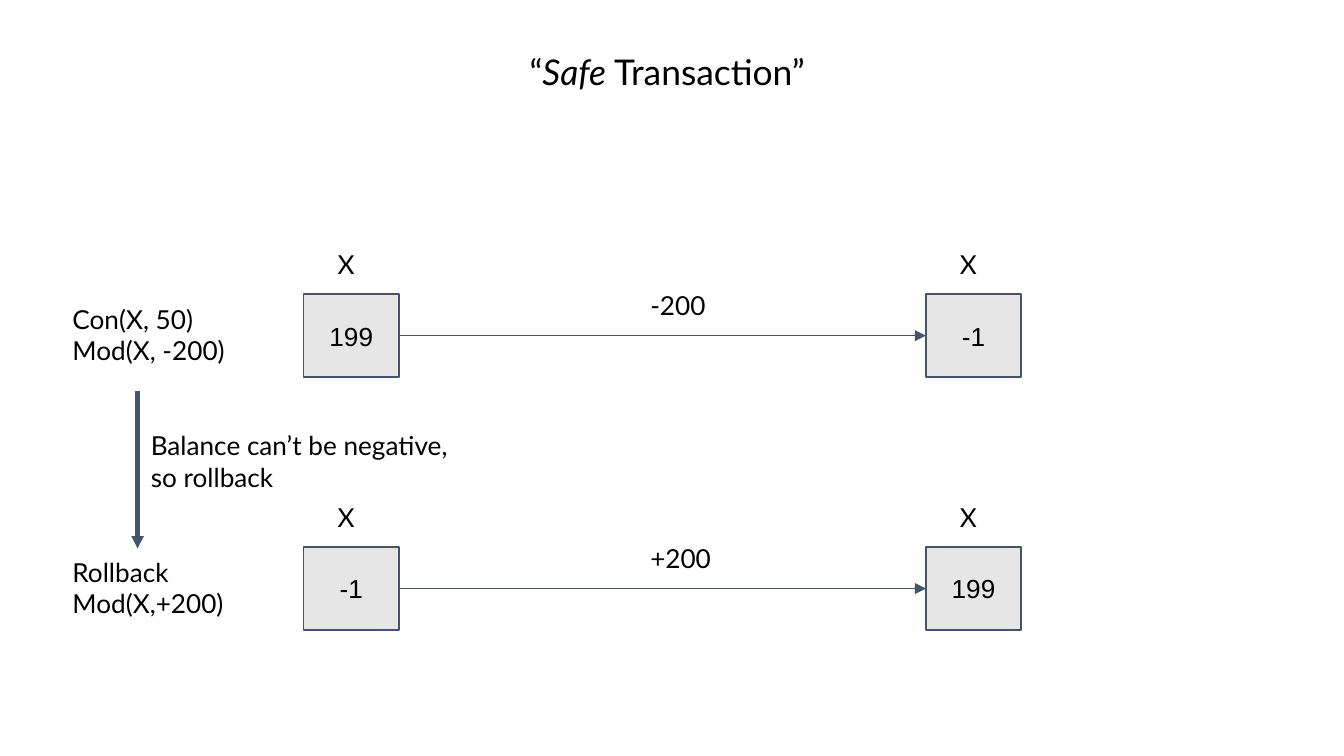
from lxml.etree import SubElement
from pptx import Presentation
from pptx.dml.color import RGBColor
from pptx.enum.shapes import MSO_CONNECTOR as Connector, MSO_SHAPE as Shape
from pptx.enum.text import MSO_ANCHOR as Anchor, MSO_AUTO_SIZE as AutoSize, PP_ALIGN as Align
from pptx.oxml.ns import qn
from pptx.util import Cm, Pt

INK, SLATE, GREY = "000000", "44546A", "E7E6E6"
BOX_LEFTS = (5.74, 17.5)
BOX_WIDTH, BOX_HEIGHT = 1.8, 1.57
TOP, RIGHT, LEFT = 0, 3, 1
# Top of the boxes, operations, value before, change, value after
STEPS = (
    (5.56, ["Con(X, 50)\nMod(X, -200)"], "199", "-200", "-1"),
    (10.34, ["Rollback", "Mod(X,+200)"], "-1", "+200", "199"),
)


def color(hex_code):
    return RGBColor.from_string(hex_code)


def add_run(paragraph, text, font="Lato", size=14, italic=False):
    run = paragraph.add_run()
    run.text = text
    run.font.name = font
    run.font.size = Pt(size)
    run.font.italic = italic
    run.font.color.rgb = color(INK)


def set_frame(frame, anchor=Anchor.TOP, auto_size=AutoSize.NONE):
    frame.word_wrap = True
    frame.auto_size = auto_size
    frame.vertical_anchor = anchor
    frame.margin_left = frame.margin_right = Cm(0.25)
    frame.margin_top = frame.margin_bottom = Cm(0.25)


def add_title(slide):
    title = slide.shapes.title
    title.left, title.top, title.width, title.height = Cm(1.75), Cm(0.69), Cm(21.72), Cm(1.93)
    set_frame(title.text_frame)
    heading = title.text_frame.paragraphs[0]
    heading.alignment = Align.CENTER
    for text, italic in (("“", False), ("Safe", True), (" Transaction”", False)):
        add_run(heading, text, size=19, italic=italic)


def add_label(slide, left, top, width, height, paragraphs):
    """Add a text box; a newline inside a paragraph becomes a line break."""
    label = slide.shapes.add_textbox(Cm(left), Cm(top), Cm(width), Cm(height))
    frame = label.text_frame
    set_frame(frame, auto_size=AutoSize.SHAPE_TO_FIT_TEXT)
    for index, text in enumerate(paragraphs):
        paragraph = frame.add_paragraph() if index else frame.paragraphs[0]
        for number, line in enumerate(text.split("\n")):
            if number:
                paragraph.add_line_break()
            add_run(paragraph, line)


def add_value_box(slide, left, top, value):
    """Add a box holding the value of X, with the variable's name above it."""
    box = slide.shapes.add_shape(
        Shape.RECTANGLE, Cm(left), Cm(top), Cm(BOX_WIDTH), Cm(BOX_HEIGHT))
    box.shadow.inherit = False
    box.fill.solid()
    box.fill.fore_color.rgb = color(GREY)
    box.line.color.rgb = color(SLATE)
    box.line.width = Pt(0.75)
    set_frame(box.text_frame, Anchor.MIDDLE)
    content = box.text_frame.paragraphs[0]
    content.alignment = Align.CENTER
    add_run(content, value, font="Arial")
    add_label(slide, left + 0.39, top - 1.12, 1.02, 1.12, ["X"])
    return box


def add_arrow(slide, start, end, width):
    arrow = slide.shapes.add_connector(
        Connector.STRAIGHT, *(Cm(length) for length in (*start, *end)))
    arrow.line.color.rgb = color(SLATE)
    arrow.line.width = Pt(width)
    SubElement(arrow.line._get_or_add_ln(), qn("a:tailEnd"), type="triangle")
    SubElement(arrow._element.spPr, qn("a:effectLst"))
    return arrow


def add_step(slide, top, operations, before, change, after):
    add_label(slide, 1.12, top - 0.08, 4.52, 1.7, operations)
    source, target = (
        add_value_box(slide, left, top, value)
        for left, value in zip(BOX_LEFTS, (before, after)))
    middle = top + BOX_HEIGHT / 2
    arrow = add_arrow(
        slide, (BOX_LEFTS[0] + BOX_WIDTH, middle), (BOX_LEFTS[1], middle), 0.75)
    arrow.begin_connect(source, RIGHT)
    arrow.end_connect(target, LEFT)
    add_label(slide, 12.04, top - 0.34, 1.8, 1.12, [change])


def main():
    deck = Presentation()
    deck.slide_width, deck.slide_height = Cm(25.4), Cm(14.29)
    slide = deck.slides.add_slide(deck.slide_layouts[5])
    add_title(slide)
    for step in STEPS:
        add_step(slide, *step)
    add_arrow(slide, (2.6, 7.4), (2.6, 10.37), 2.25)
    add_label(slide, 2.6, 7.87, 6.27, 1.7, ["Balance can’t be negative, so rollback"])
    deck.save("out.pptx")


if __name__ == "__main__":
    main()
